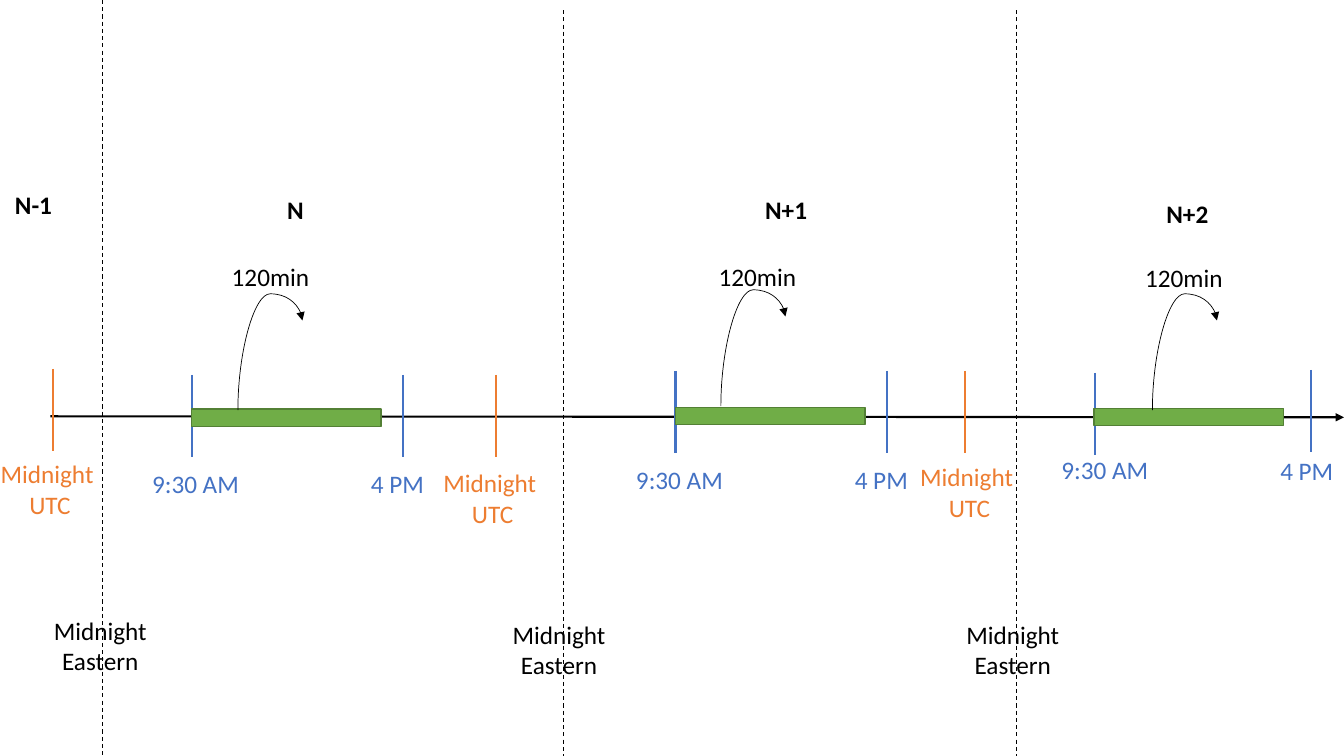
from lxml import etree
from pptx import Presentation
from pptx.dml.color import RGBColor
from pptx.enum.dml import MSO_LINE
from pptx.enum.shapes import MSO_CONNECTOR, MSO_SHAPE
from pptx.enum.text import MSO_AUTO_SIZE, PP_ALIGN
from pptx.oxml.ns import qn
from pptx.util import Inches, Pt

STRAIGHT, CURVE = MSO_CONNECTOR.STRAIGHT, MSO_CONNECTOR.CURVE
RECTANGLE = MSO_SHAPE.RECTANGLE
DASH = MSO_LINE.DASH
LEFT, CENTER = PP_ALIGN.LEFT, PP_ALIGN.CENTER
FIT_TEXT = MSO_AUTO_SIZE.SHAPE_TO_FIT_TEXT

BLACK, BLUE, ORANGE = "000000", "4472C4", "ED7D31"
GREEN, DARK_GREEN = "70AD47", "538035"
LABEL_HEIGHT, TWO_LINE_HEIGHT = 0.4, 0.71


def color(hex_string):
    """Turn a hex string into a colour."""
    return RGBColor.from_string(hex_string)


class TimelineSlide:
    """Hold the text style and the slide being drawn."""

    font_name = "Calibri"
    font_size = Pt(18)

    def __init__(self, slide):
        """Keep the slide's shapes for drawing."""
        self.shapes = slide.shapes

    def label(self, text, left, top, width, height=LABEL_HEIGHT,
              hex_color=BLACK, bold=False, alignment=LEFT):
        """Add an unwrapped text label."""
        box = self.shapes.add_textbox(
            Inches(left), Inches(top), Inches(width), Inches(height))
        frame = box.text_frame
        frame.word_wrap = False
        frame.auto_size = FIT_TEXT
        frame.text = text
        for paragraph in frame.paragraphs:
            paragraph.alignment = alignment
            for run in paragraph.runs:
                run.font.name = self.font_name
                run.font.size = self.font_size
                run.font.bold = bold
                run.font.color.rgb = color(hex_color)

    def line(self, start, end, hex_color=BLACK, width=1.5, dash=None,
             arrow=False, kind=STRAIGHT):
        """Add a connector, with an arrowhead at its end if asked."""
        connector = self.shapes.add_connector(
            kind, *(Inches(value) for value in (*start, *end)))
        connector.line.color.rgb = color(hex_color)
        connector.line.width = Pt(width)
        if dash:
            connector.line.dash_style = dash
        properties = connector._element.spPr
        if arrow:
            outline = properties.find(qn("a:ln"))
            etree.SubElement(outline, qn("a:tailEnd"), type="triangle")
        etree.SubElement(properties, qn("a:effectLst"))
        return connector

    def tick(self, x, top, hex_color):
        """Add a vertical mark across the time axis."""
        self.line((x, top), (x, top + 0.81), hex_color)

    def bar(self, left, top):
        """Add a green bar for the trading window."""
        bar = self.shapes.add_shape(
            RECTANGLE, Inches(left), Inches(top), Inches(1.88), Inches(0.17))
        bar.shadow.inherit = False
        bar.fill.solid()
        bar.fill.fore_color.rgb = color(GREEN)
        bar.line.color.rgb = color(DARK_GREEN)
        bar.line.width = Pt(1)

    def jump(self, x, bottom):
        """Add a curved arrow that rises from the bar and lands to its right."""
        rise, run = 0.89, 0.64
        center_x, center_y = x + run / 2, bottom - rise / 2
        # The box is laid out flipped, then turned a quarter about its centre.
        connector = self.line(
            (center_x + rise / 2, center_y + run / 2),
            (center_x - rise / 2, center_y - run / 2),
            width=0.5, arrow=True, kind=CURVE)
        properties = connector._element.spPr
        properties.find(qn("a:xfrm")).set("rot", "5400000")
        guides = properties.find(qn("a:prstGeom")).get_or_add_avLst()
        etree.SubElement(guides, qn("a:gd"), name="adj1", fmla="val 129800")


presentation = Presentation()
presentation.slide_width = Inches(13.33)
presentation.slide_height = Inches(7.5)
timeline = TimelineSlide(
    presentation.slides.add_slide(presentation.slide_layouts[6]))

timeline.line((0.5, 4.13), (13.33, 4.14), arrow=True)

# Eastern midnight: line x, line top, label left, label top
for x, top, label_left, label_top in (
        (1.02, 0, 0.43, 6.05), (5.59, 0.1, 4.98, 6.09), (10.08, 0.1, 9.48, 6.09)):
    timeline.line((x, top), (x, top + 7.5), width=0.75, dash=DASH)
    timeline.label("Midnight\nEastern", label_left, label_top, 1.13,
                   TWO_LINE_HEIGHT, alignment=CENTER)

# UTC midnight: tick x, tick top, label left, label top
for x, top, label_left, label_top in (
        (0.53, 3.66, -0.1, 4.5), (4.92, 3.72, 4.29, 4.59), (9.57, 3.68, 9.02, 4.53)):
    timeline.tick(x, top, ORANGE)
    timeline.label("Midnight \vUTC", label_left, label_top, 1.19,
                   TWO_LINE_HEIGHT, ORANGE, alignment=CENTER)

# Day names: text, left, top, width
for name, left, top, width in (
        ("N-1", 0.05, 1.83, 0.57), ("N", 2.75, 1.88, 0.36),
        ("N+1", 7.49, 1.88, 0.62), ("N+2", 11.47, 1.92, 0.62)):
    timeline.label(name, left, top, width, bold=True)

# Trading hours: (x, tick top, label left, label top) of open and of close
for opening, closing in (
        ((1.9, 3.72, 1.41, 4.6), (4, 3.72, 3.58, 4.6)),
        ((6.7, 3.68, 6.21, 4.56), (8.8, 3.68, 8.38, 4.56)),
        ((10.86, 3.7, 10.43, 4.46), (13, 3.67, 12.6, 4.47))):
    for text, width, (x, top, label_left, label_top) in (
            ("9:30 AM", 1.07, opening), ("4 PM", 0.73, closing)):
        timeline.tick(x, top, BLUE)
        timeline.label(text, label_left, label_top, width, hex_color=BLUE)

# Windows: bar left, bar top, arrow x, arrow bottom, label left, label top
for bar_left, bar_top, arrow_x, arrow_bottom, label_left, label_top in (
        (1.9, 4.06, 2.36, 4.07, 2.2, 2.54),
        (6.7, 4.04, 7.15, 4.03, 7.03, 2.54),
        (10.85, 4.05, 11.43, 4.07, 11.26, 2.55)):
    timeline.bar(bar_left, bar_top)
    timeline.jump(arrow_x, arrow_bottom)
    timeline.label("120min", label_left, label_top, 0.98)

presentation.save("out.pptx")
